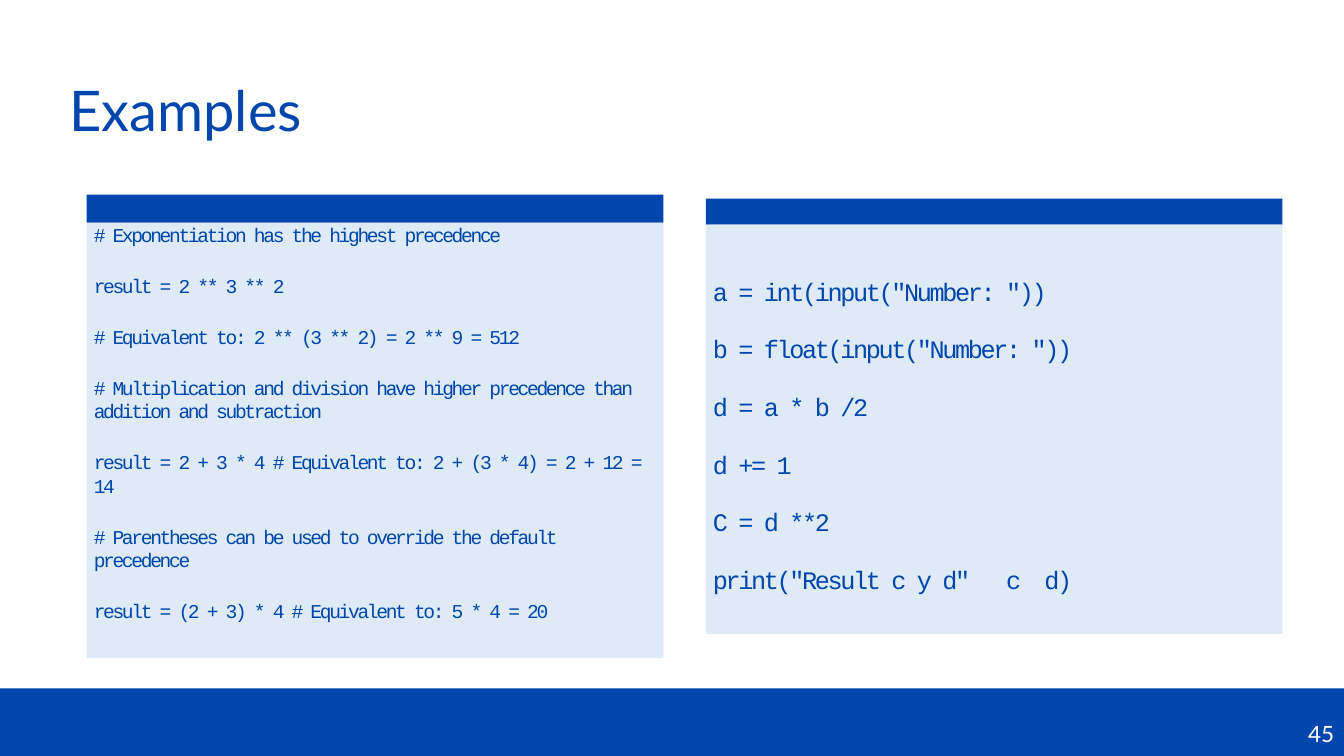
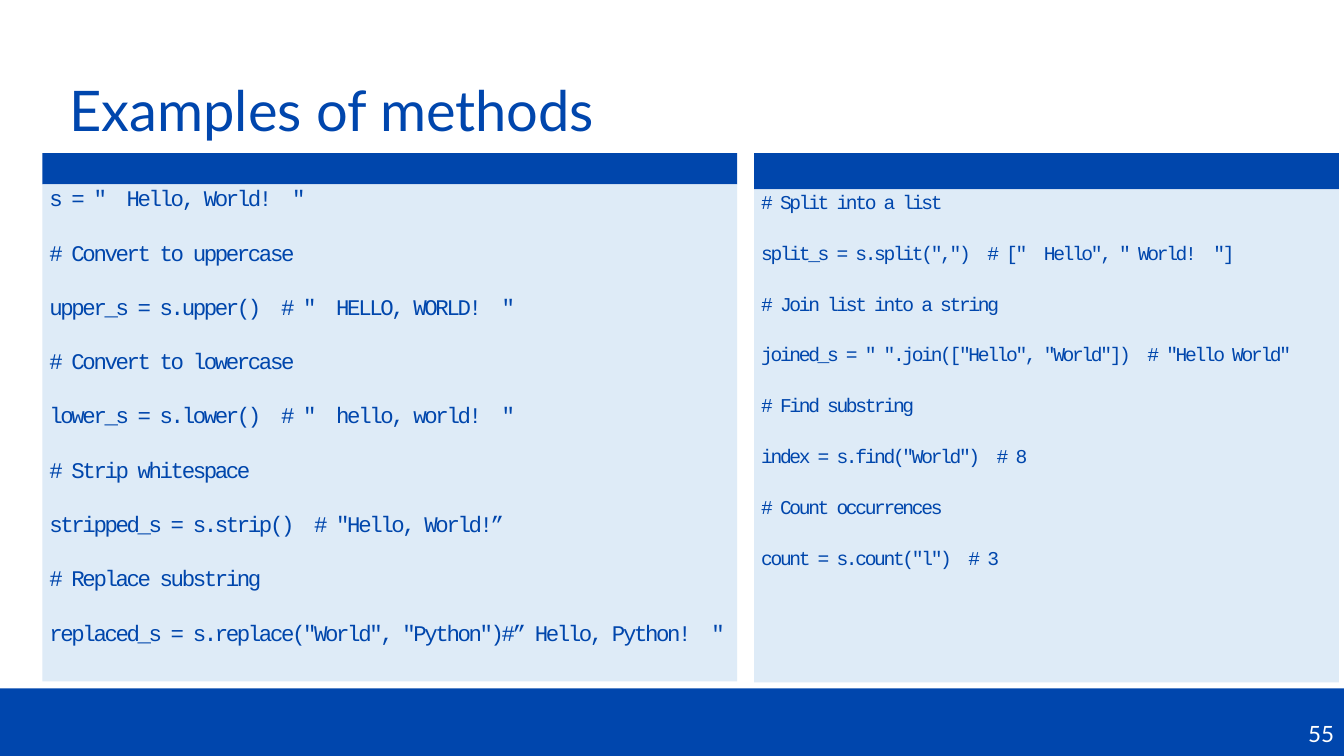
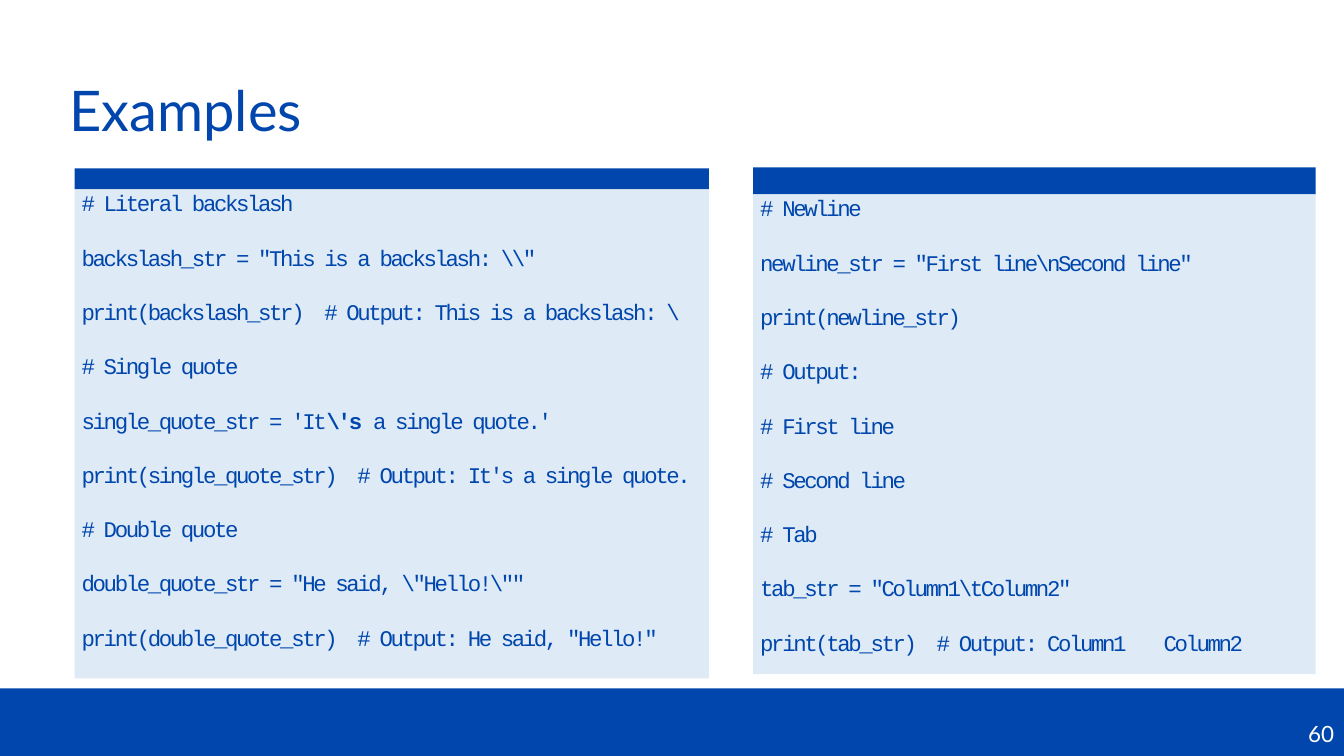
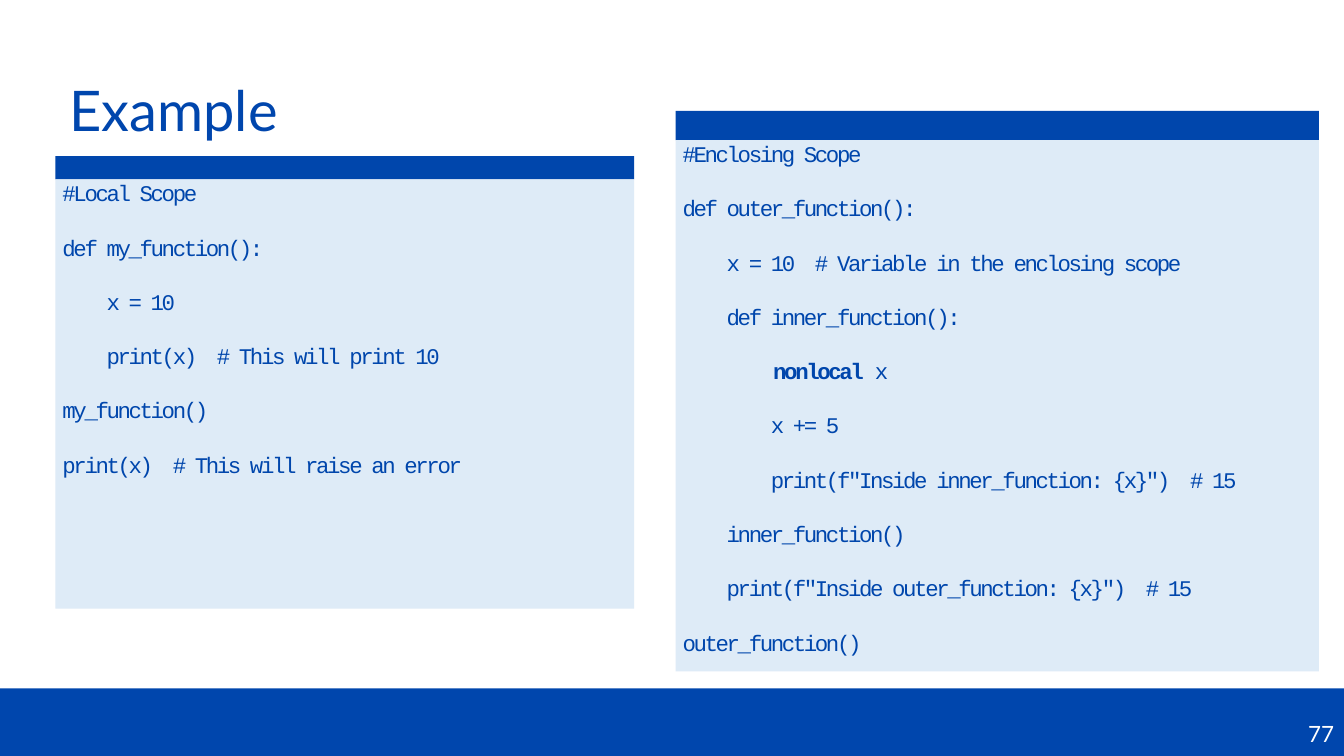
from pptx import Presentation
from pptx.dml.color import RGBColor
from pptx.enum.shapes import MSO_SHAPE
from pptx.enum.text import MSO_ANCHOR as ANCHOR, MSO_AUTO_SIZE, PP_ALIGN as ALIGN
from pptx.util import Emu, Pt

EMU_PER_PX = 9144
PAGE_WIDTH, PAGE_HEIGHT = 1333, 750
TITLE_ONLY = 5
COLORS = {
    "band": "0046AD",
    "code": "0046AC",
    "panel": "DEEBF7",
    "number": "FFFFFF",
}
TITLE_FONT = "Lato"
CODE_FONT = "Courier New"
CODE_GAP = 19.6
CODE_TRACKING = "-170"

PRECEDENCE = [
    "# Exponentiation has the highest precedence",
    "result = 2 ** 3 ** 2",
    "# Equivalent to: 2 ** (3 ** 2) = 2 ** 9 = 512",
    "# Multiplication and division have higher precedence than addition and subtraction",
    "result = 2 + 3 * 4 # Equivalent to: 2 + (3 * 4) = 2 + 12 = 14",
    "# Parentheses can be used to override the default precedence",
    "result = (2 + 3) * 4 # Equivalent to: 5 * 4 = 20",
]
ARITHMETIC = [
    'a = int(input("Number: "))',
    'b = float(input("Number: "))',
    "d = a * b /2",
    "d += 1",
    "C = d **2",
    'print("Result c y d"   c  d)',
]
CASE_METHODS = [
    's = "  Hello, World!  "',
    "# Convert to uppercase",
    'upper_s = s.upper()  # "  HELLO, WORLD!  "',
    "# Convert to lowercase",
    'lower_s = s.lower()  # "  hello, world!  "',
    "# Strip whitespace",
    'stripped_s = s.strip()  # "Hello, World!”',
    "# Replace substring",
    'replaced_s = s.replace("World", "Python")#” Hello, Python!  "',
]
SEARCH_METHODS = [
    "# Split into a list",
    'split_s = s.split(",")  # ["  Hello", " World!  "]',
    "# Join list into a string",
    'joined_s = " ".join(["Hello", "World"])  # "Hello World"',
    "# Find substring",
    'index = s.find("World")  # 8',
    "# Count occurrences",
    'count = s.count("l")  # 3',
]
QUOTES = [
    "# Literal backslash",
    r'backslash_str = "This is a backslash: \\"',
    "print(backslash_str)  # Output: This is a backslash: \\",
    "# Single quote",
    ("single_quote_str = 'It", r"\'s ", "a single quote.'"),
    "print(single_quote_str)  # Output: It's a single quote.",
    "# Double quote",
    r'double_quote_str = "He said, \"Hello!\""',
    'print(double_quote_str)  # Output: He said, "Hello!"',
]
WHITESPACE = [
    "# Newline",
    r'newline_str = "First line\nSecond line"',
    "print(newline_str)",
    "# Output:",
    "# First line",
    "# Second line",
    "# Tab",
    r'tab_str = "Column1\tColumn2"',
    "print(tab_str)  # Output: Column1\tColumn2",
]
LOCAL_SCOPE = [
    "#Local Scope",
    "def my_function():",
    "    x = 10",
    "    print(x)  # This will print 10",
    "my_function()",
    "print(x)  # This will raise an error",
]
ENCLOSING_SCOPE = [
    "#Enclosing Scope",
    "def outer_function():",
    "    x = 10  # Variable in the enclosing scope",
    "    def inner_function():",
    ("        ", "nonlocal", " x"),
    "        x += 5",
    '        print(f"Inside inner_function: {x}")  # 15',
    "    inner_function()",
    '    print(f"Inside outer_function: {x}")  # 15',
    "outer_function()",
]


def px(length):
    return Emu(length * EMU_PER_PX)


def style_font(font, name, size, color):
    font.name = name
    font.size = Pt(size)
    font.color.rgb = RGBColor.from_string(COLORS[color])


def add_block(page, left, top, width, height, color):
    block = page.shapes.add_shape(
        MSO_SHAPE.RECTANGLE, px(left), px(top), px(width), px(height))
    block.shadow.inherit = False
    block.fill.solid()
    block.fill.fore_color.rgb = RGBColor.from_string(COLORS[color])
    block.line.fill.background()
    return block


def add_footer(page, number):
    frame = add_block(page, 0, 683, PAGE_WIDTH, 71, "band").text_frame
    frame.vertical_anchor = ANCHOR.BOTTOM
    frame.margin_bottom = px(13)
    para = frame.paragraphs[0]
    para.text = str(number)
    para.alignment = ALIGN.RIGHT
    style_font(para.font, TITLE_FONT, 16, "number")


def set_title(page, text):
    title = page.shapes.title
    title.left, title.top, title.width, title.height = map(px, (59, 40, 1183, 145))
    frame = title.text_frame
    frame.auto_size = MSO_AUTO_SIZE.NONE
    frame.vertical_anchor = ANCHOR.MIDDLE
    para = frame.paragraphs[0]
    para.text = text
    para.alignment = ALIGN.LEFT
    para.line_spacing = 0.9
    style_font(para.font, TITLE_FONT, 40, "band")


def add_page(deck, title, number):
    page = deck.slides.add_slide(deck.slide_layouts[TITLE_ONLY])
    add_footer(page, number)
    set_title(page, title)
    return page


def add_code_line(para, line, size):
    para.alignment = ALIGN.LEFT
    style_font(para.font, CODE_FONT, size, "code")
    pieces = (line,) if isinstance(line, str) else line
    for index, piece in enumerate(pieces):
        span = para.add_run()
        span.text = piece
        span._r.get_or_add_rPr().set("spc", CODE_TRACKING)
        if index % 2:
            span.font.bold = True


def add_code_panel(page, left, top, width, bar, height, lines, size=16, inset=0):
    add_block(page, left, top, width, bar, "code")
    frame = add_block(page, left, top + bar, width, height, "panel").text_frame
    frame.word_wrap = True
    frame.vertical_anchor = ANCHOR.TOP
    frame.margin_left = frame.margin_right = px(7)
    frame.margin_top, frame.margin_bottom = px(inset), 0
    for index, line in enumerate(lines):
        para = frame.add_paragraph() if index else frame.paragraphs[0]
        if index:
            para.space_before = Pt(CODE_GAP)
        add_code_line(para, line, size)


def main():
    deck = Presentation()
    deck.slide_width, deck.slide_height = px(PAGE_WIDTH), px(PAGE_HEIGHT)

    page = add_page(deck, "Examples", 45)
    add_code_panel(page, 700, 197, 572, 26, 406, ARITHMETIC, size=18, inset=51)
    add_code_panel(page, 86, 193, 572, 28, 432, PRECEDENCE, size=14)

    page = add_page(deck, "Examples of methods", 55)
    add_code_panel(page, 748, 152, 580, 36, 489, SEARCH_METHODS, size=14)
    add_code_panel(page, 42, 152, 689, 31, 493, CASE_METHODS)

    page = add_page(deck, "Examples", 60)
    add_code_panel(page, 74, 167, 629, 21, 485, QUOTES)
    add_code_panel(page, 747, 166, 558, 27, 476, WHITESPACE)

    page = add_page(deck, "Example", 77)
    add_code_panel(page, 55, 155, 574, 23, 426, LOCAL_SCOPE)
    add_code_panel(page, 670, 110, 638, 29, 527, ENCLOSING_SCOPE)

    deck.save("out.pptx")


if __name__ == "__main__":
    main()
